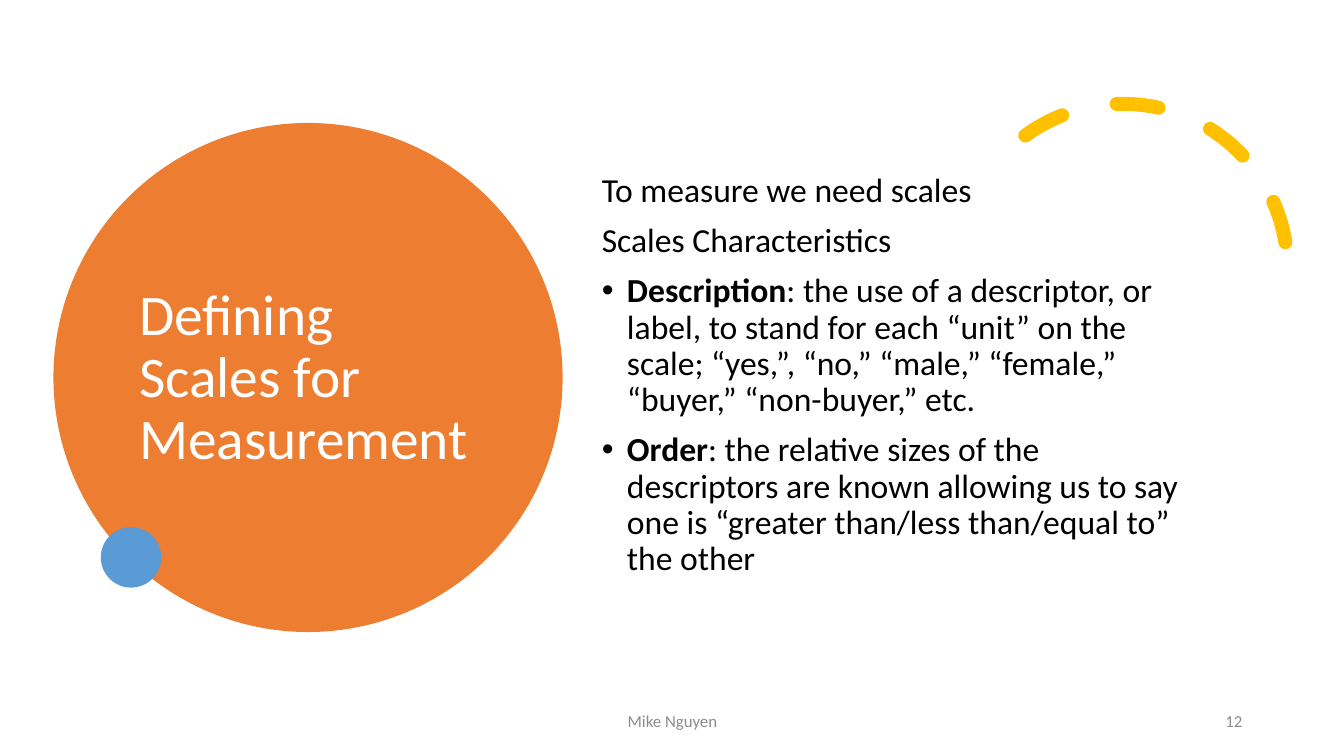
from lxml import etree
from pptx import Presentation
from pptx.dml.color import RGBColor
from pptx.enum.dml import MSO_LINE
from pptx.enum.shapes import MSO_SHAPE
from pptx.enum.text import MSO_ANCHOR, MSO_AUTO_SIZE, PP_ALIGN
from pptx.oxml.ns import qn
from pptx.util import Inches, Pt

OVAL, ARC = MSO_SHAPE.OVAL, MSO_SHAPE.ARC
DASH = MSO_LINE.DASH
TOP, MID = MSO_ANCHOR.TOP, MSO_ANCHOR.MIDDLE
LEFT, CENTER, RIGHT = PP_ALIGN.LEFT, PP_ALIGN.CENTER, PP_ALIGN.RIGHT
FIXED = MSO_AUTO_SIZE.NONE
COLORS = {"orange": "ED7D31", "blue": "5B9BD5", "gold": "FFC000",
          "white": "FFFFFF", "black": "000000", "gray": "8C8C8C"}


def color(name):
    return RGBColor.from_string(COLORS[name])


def write(para, runs, size, tint, **form):
    """Add (text, bold) runs to a paragraph and format it."""
    for key, value in form.items():
        setattr(para, key, value)
    for text, bold in runs:
        run = para.add_run()
        run.text = text
        look = {"name": "Calibri", "size": Pt(size), "bold": bold}
        for key, value in look.items():
            setattr(run.font, key, value)
        run.font.color.rgb = color(tint)


deck = Presentation()
deck.slide_width, deck.slide_height = Inches(13.33), Inches(7.5)
slide = deck.slides.add_slide(deck.slide_layouts[5])
shapes = slide.shapes

# Title on the large disc
title = shapes.title
spot = {"left": 1.28, "top": 1.53, "width": 3.54, "height": 4.45}
for key, value in spot.items():
    setattr(title, key, Inches(value))
frame = title.text_frame
frame.word_wrap, frame.auto_size, frame.vertical_anchor = True, FIXED, MID
write(frame.paragraphs[0], [("Defining Scales for Measurement", False)],
      41, "white", alignment=LEFT, line_spacing=0.9)

# Discs and dashed arc
rounds = [(OVAL, 0.53, 1.22, 5.05, "orange"),
          (ARC, 9.5, 1.03, 3.27, "gold"),
          (OVAL, 1, 5.23, 0.6, "blue")]
for kind, left, top, size, tint in rounds:
    shape = shapes.add_shape(kind, Inches(left), Inches(top),
                             Inches(size), Inches(size))
    shape.shadow.inherit = False
    if kind == OVAL:
        shape.fill.solid()
        shape.fill.fore_color.rgb = color(tint)
        shape.line.fill.background()
    else:
        shape.fill.background()
        shape.rotation = 330.2
        shape.adjustments[0], shape.adjustments[1] = 158.17, 17.81
        shape.line.color.rgb = color(tint)
        shape.line.width, shape.line.dash_style = Pt(10), DASH
        shape.line.fill  # the line element exists from here on
        shape.element.spPr.find(qn("a:ln")).set("cap", "rnd")
    if tint == "orange":
        title.element.addprevious(shape.element)

# Body and footer texts
points = [
    [("To measure we need scales", False)],
    [("Scales Characteristics", False)],
    [("Description", True),
     (": the use of a descriptor, or label, to stand for each “unit” on the "
      "scale; “yes,”, “no,” “male,” “female,” “buyer,” “non-buyer,” etc.",
      False)],
    [("Order", True),
     (": the relative sizes of the descriptors are known allowing us to say "
      "one is “greater than/less than/equal to” the other", False)],
]
boxes = [
    (5.87, 1.67, 6.05, 4.3, TOP, points, 24, "black", LEFT, 0.9),
    (4.42, 6.95, 4.5, 0.4, MID, [[("Mike Nguyen", False)]],
     12, "gray", CENTER, 1.0),
    (9.42, 6.95, 3, 0.4, MID, [[("12", False)]], 12, "gray", RIGHT, 1.0),
]
for left, top, width, height, anchor, paras, size, tint, align, gap in boxes:
    box = shapes.add_textbox(Inches(left), Inches(top),
                             Inches(width), Inches(height))
    frame = box.text_frame
    frame.word_wrap, frame.vertical_anchor = True, anchor
    for i, runs in enumerate(paras):
        para = frame.add_paragraph() if i else frame.paragraphs[0]
        if len(runs) > 1:
            props = para._p.get_or_add_pPr()
            props.set("marL", str(Inches(0.25)))
            props.set("indent", str(-Inches(0.25)))
            etree.SubElement(props, qn("a:buFont")).set("typeface", "Arial")
            etree.SubElement(props, qn("a:buChar")).set("char", "•")
        write(para, runs, size, tint, alignment=align, line_spacing=gap,
              space_before=Pt(10 if i else 0))

deck.save("out.pptx")
